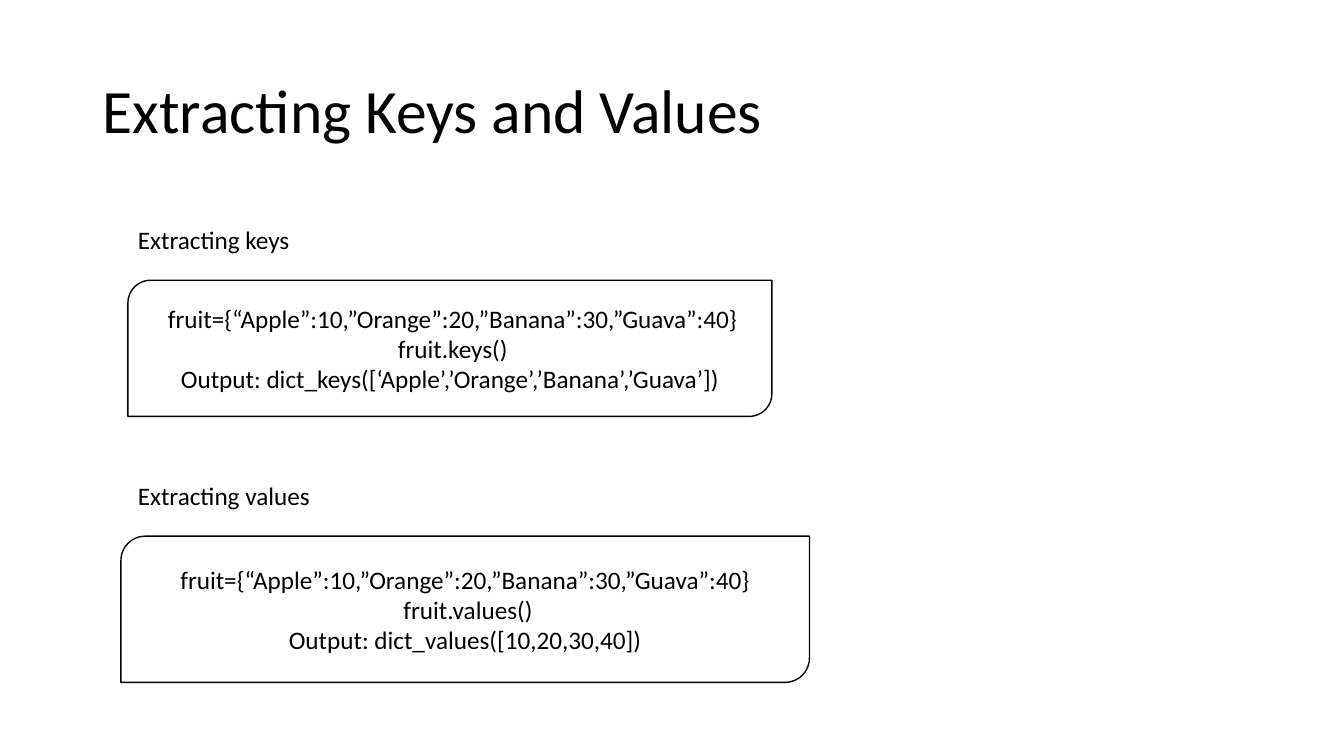
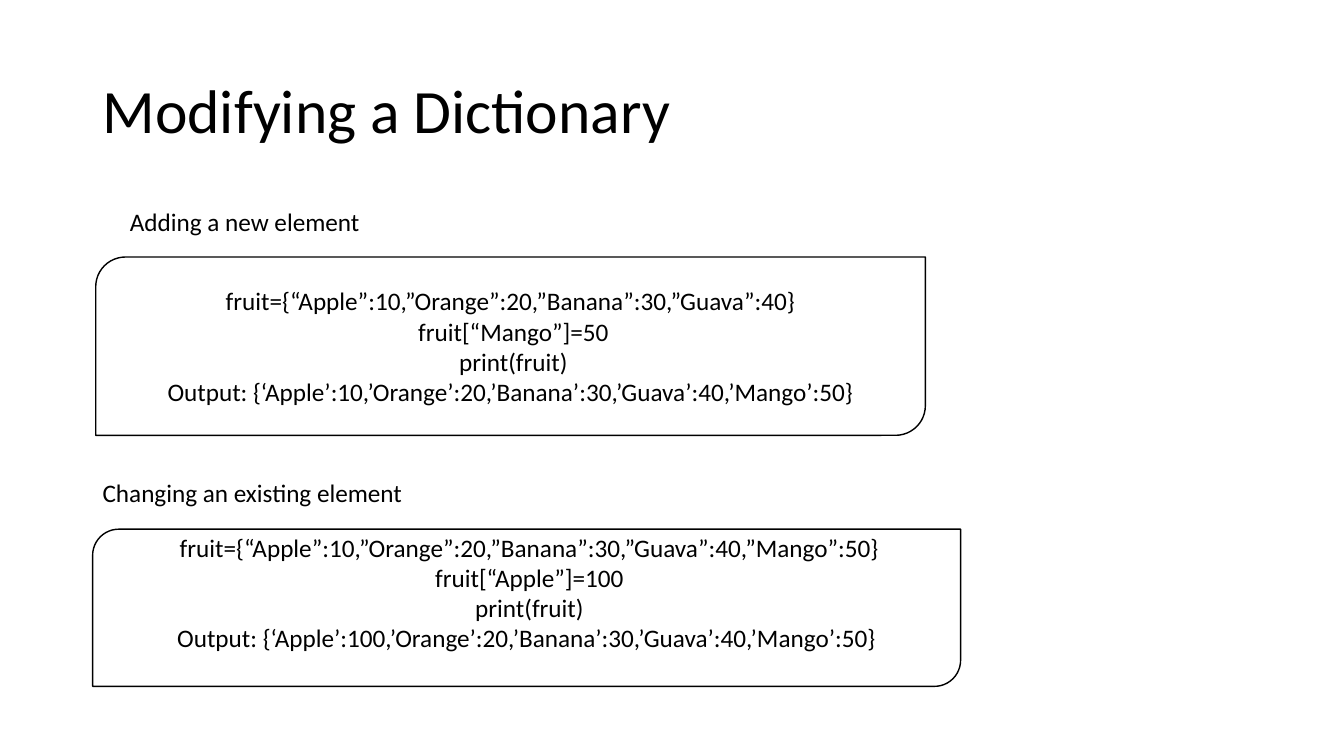
from dataclasses import dataclass

from pptx import Presentation
from pptx.dml.color import RGBColor
from pptx.enum.shapes import MSO_SHAPE as Preset
from pptx.enum.text import MSO_ANCHOR as Anchor, MSO_AUTO_SIZE as AutoSize, PP_ALIGN as Align
from pptx.util import Pt

BLACK = RGBColor(0x00, 0x00, 0x00)
WHITE = RGBColor(0xFF, 0xFF, 0xFF)
FONT = "Calibri"
TITLE_SIZE, BODY_SIZE = 44, 18
TITLE_BOX = (66, 28.8, 828, 104.4)
CAPTION_HEIGHT = 29
TITLE_ONLY = 5
FRUIT = "fruit={“Apple”:10,”Orange”:20,”Banana”:30,”Guava”:40}"


@dataclass
class Example:
    """A captioned code panel; the caption is placed from the panel's corner."""
    caption: str
    code: list
    box: tuple
    caption_width: float
    indent: float = 0
    rise: float = 43.2
    bottom_inset: float = 3.6


KEYS_AND_VALUES = [
    Example("Extracting keys",
            [" " + FRUIT, " fruit.keys()",
             "Output: dict_keys([‘Apple’,’Orange’,’Banana’,’Guava’])"],
            (91.4, 200.2, 460, 97.2), 123.8),
    Example("Extracting values",
            [FRUIT, " fruit.values()", "Output: dict_values([10,20,30,40])"],
            (86.4, 383, 491.8, 104.4), 139, indent=5),
]
MODIFYING = [
    Example("Adding a new element",
            [FRUIT, " fruit[“Mango”]=50", " print(fruit)",
             "Output: {‘Apple’:10,’Orange’:20,’Banana’:30,’Guava’:40,’Mango’:50}"],
            (68.4, 183.6, 592.6, 127.4), 180.7, indent=17.3, rise=39.6),
    Example("Changing an existing element",
            [" fruit={“Apple”:10,”Orange”:20,”Banana”:30,”Guava”:40,”Mango”:50}",
             " fruit[“Apple”]=100", " print(fruit)",
             "Output: {‘Apple’:100,’Orange’:20,’Banana’:30,’Guava’:40,’Mango’:50}"],
            (66.2, 378, 620, 112.3), 231.1, rise=40.3, bottom_inset=25.6),
]


def write(frame, text, size, align):
    """Fill a text frame and format every run in it."""
    frame.text = text
    for paragraph in frame.paragraphs:
        paragraph.alignment = align
        for run in paragraph.runs:
            run.font.name = FONT
            run.font.size = Pt(size)
            run.font.color.rgb = BLACK


def place_title(title, text):
    """Move the title placeholder to the shared band and style it."""
    title.left, title.top, title.width, title.height = map(Pt, TITLE_BOX)
    frame = title.text_frame
    write(frame, text, TITLE_SIZE, Align.LEFT)
    frame.vertical_anchor = Anchor.MIDDLE
    frame.paragraphs[0].line_spacing = 0.9


def add_example(slide, example):
    """Draw a code panel and its caption above it."""
    left, top, width, height = example.box
    caption = slide.shapes.add_textbox(
        Pt(left + example.indent), Pt(top - example.rise),
        Pt(example.caption_width), Pt(CAPTION_HEIGHT)).text_frame
    write(caption, example.caption, BODY_SIZE, Align.LEFT)
    caption.word_wrap = False
    caption.auto_size = AutoSize.SHAPE_TO_FIT_TEXT

    panel = slide.shapes.add_shape(
        Preset.ROUND_2_DIAG_RECTANGLE, Pt(left), Pt(top), Pt(width), Pt(height))
    panel.shadow.inherit = False
    panel.fill.solid()
    panel.fill.fore_color.rgb = WHITE
    panel.line.color.rgb = BLACK
    panel.line.width = Pt(1)
    code = panel.text_frame
    write(code, "\n".join(example.code), BODY_SIZE, Align.CENTER)
    code.word_wrap = True
    code.vertical_anchor = Anchor.MIDDLE
    code.margin_bottom = Pt(example.bottom_inset)


def add_example_slide(deck, title, examples):
    """Add a titled slide with its code examples."""
    slide = deck.slides.add_slide(deck.slide_layouts[TITLE_ONLY])
    place_title(slide.shapes.title, title)
    for example in examples:
        add_example(slide, example)


def main():
    """Build and save the presentation."""
    deck = Presentation()
    deck.slide_width, deck.slide_height = Pt(960), Pt(540)
    add_example_slide(deck, "Extracting Keys and Values", KEYS_AND_VALUES)
    add_example_slide(deck, "Modifying a Dictionary", MODIFYING)
    deck.save("out.pptx")


if __name__ == "__main__":
    main()
